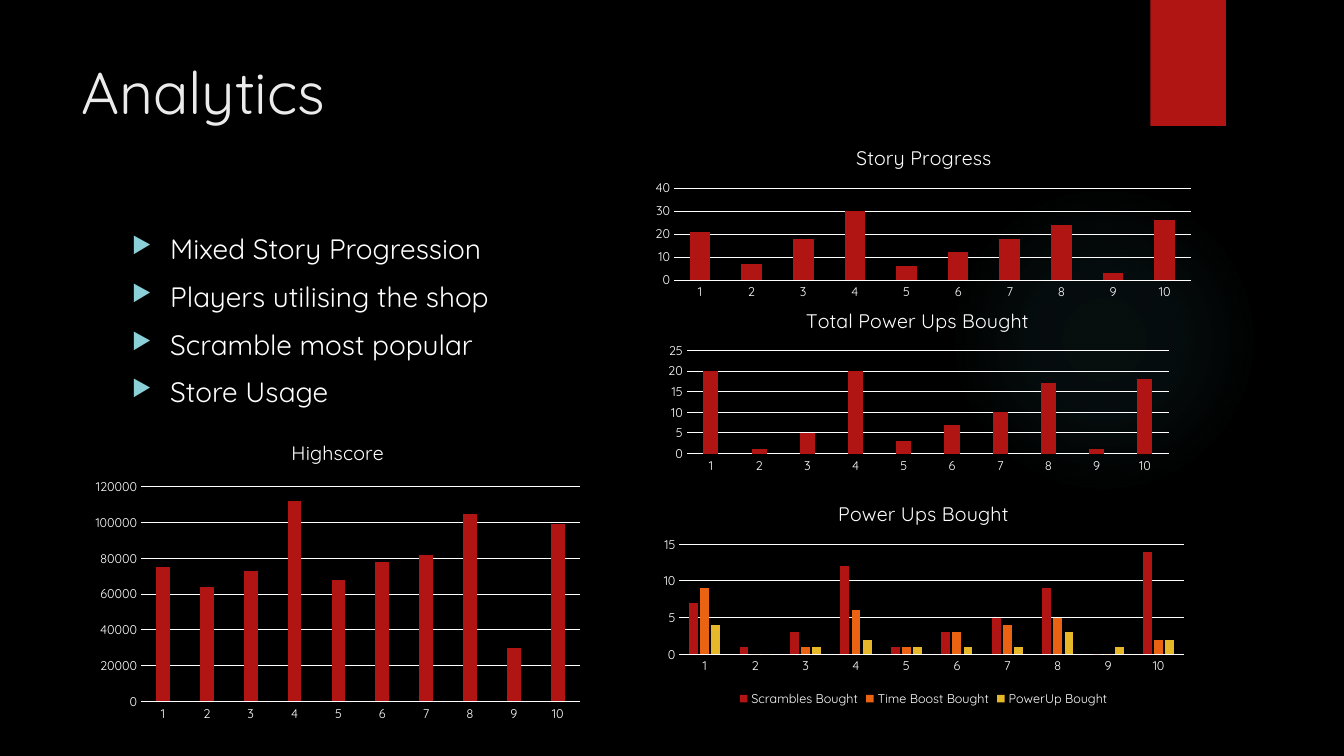
from pptx import Presentation
from pptx.chart.data import CategoryChartData
from pptx.dml.color import RGBColor
from pptx.enum.chart import XL_CHART_TYPE as CT, XL_LEGEND_POSITION as LP, XL_TICK_MARK as TICK
from pptx.enum.shapes import MSO_SHAPE as SHAPE
from pptx.enum.text import MSO_AUTO_SIZE as FIT
from pptx.oxml import parse_xml
from pptx.oxml.ns import nsdecls, qn
from pptx.util import Inches, Pt
from lxml.etree import SubElement

FONT = "Quicksand"
BLACK = RGBColor(0x00, 0x00, 0x00)
WHITE = RGBColor(0xFF, 0xFF, 0xFF)
PALE = RGBColor(0xEB, 0xEB, 0xEB)
RED = RGBColor(0xB0, 0x15, 0x13)
ORANGE = RGBColor(0xEA, 0x63, 0x12)
YELLOW = RGBColor(0xE6, 0xB7, 0x29)
AQUA = RGBColor(0x8A, 0xD0, 0xD6)
GLOW = RGBColor(0x50, 0xB9, 0xC1)

POINTS = ["Mixed Story Progression", "Players utilising the shop",
          "Scramble most popular", "Store Usage"]
TOTAL = [20, 1, 5, 20, 3, 7, 10, 17, 1, 18]
SCRAMBLES = [7, 1, 3, 12, 1, 3, 5, 9, 0, 14]
TIME_BOOSTS = [9, 0, 1, 6, 1, 3, 4, 5, 0, 2]
POWER_UPS = [4, 0, 1, 2, 1, 1, 1, 3, 1, 2]
HIGHSCORES = [75000, 64000, 73000, 112000, 68000, 78000, 82000, 105000, 30000, 99000]
STORY = [21, 7, 18, 30, 6, 12, 18, 24, 3, 26]


def style(font, size, color=WHITE):
    """Set the deck's typeface with a size and colour."""
    font.name = FONT
    font.size = Pt(size)
    font.bold = False
    font.color.rgb = color


def add_block(slide, kind, box, color):
    """Add a borderless shape filled with one colour."""
    sp = slide.shapes.add_shape(kind, *map(Inches, box))
    sp.shadow.inherit = False
    sp.fill.solid()
    sp.fill.fore_color.rgb = color
    sp.line.fill.background()
    return sp


def add_glow(slide, box):
    """Add a circle that fades out from its centre."""
    sp = add_block(slide, SHAPE.OVAL, box, GLOW)
    stops = "".join(
        f'<a:gs pos="{pos * 1000}"><a:srgbClr val="{GLOW}">'
        f'<a:alpha val="{alpha * 1000}"/></a:srgbClr></a:gs>'
        for pos, alpha in ((0, 7), (36, 6), (69, 0)))
    fade = parse_xml(
        f'<a:gradFill {nsdecls("a")}><a:gsLst>{stops}</a:gsLst><a:path path="circle">'
        '<a:fillToRect l="50000" t="50000" r="50000" b="50000"/></a:path></a:gradFill>')
    spPr = sp.element.spPr
    spPr.replace(spPr.find(qn("a:solidFill")), fade)


def add_text(slide, box):
    """Add a wrapping text box and return its frame."""
    tf = slide.shapes.add_textbox(*map(Inches, box)).text_frame
    tf.word_wrap = True
    return tf


def add_title(slide, box, text):
    """Write the slide's heading."""
    tf = add_text(slide, box)
    tf.text = text
    style(tf.paragraphs[0].runs[0].font, 42, PALE)


def add_bullets(slide, box, points):
    """Write the list of findings with triangle bullets."""
    tf = add_text(slide, box)
    tf.auto_size = FIT.TEXT_TO_FIT_SHAPE
    for i, point in enumerate(points):
        p = tf.paragraphs[0] if i == 0 else tf.add_paragraph()
        p.text = point
        if i:
            p.space_before = Pt(10)
        pPr = p._p.get_or_add_pPr()
        pPr.set("marL", str(Inches(0.38)))
        pPr.set("indent", str(-Inches(0.38)))
        SubElement(SubElement(pPr, qn("a:buClr")), qn("a:srgbClr")).set("val", str(AQUA))
        SubElement(pPr, qn("a:buSzPct")).set("val", "80000")
        SubElement(pPr, qn("a:buChar")).set("char", "▶")
        style(p.runs[0].font, 20)


def place_plot(chart, shares):
    """Fix the inner plot area as shares of the chart's box."""
    area = chart._chartSpace.find(".//" + qn("c:plotArea"))
    for old in area.findall(qn("c:layout")):
        area.remove(old)
    sizes = "".join(f'<c:{tag} val="{v}"/>' for tag, v in zip("xywh", shares))
    area.insert(0, parse_xml(
        f'<c:layout {nsdecls("c")}><c:manualLayout><c:layoutTarget val="inner"/>'
        f'<c:xMode val="edge"/><c:yMode val="edge"/>{sizes}</c:manualLayout></c:layout>'))


def style_axes(chart, top, step):
    """Give both axes white labels and the value axis its grid."""
    cat, val = chart.category_axis, chart.value_axis
    for axis in (cat, val):
        axis.major_tick_mark = axis.minor_tick_mark = TICK.NONE
        style(axis.tick_labels.font, 9)
    val.minimum_scale, val.maximum_scale, val.major_unit = 0, top, step
    val.has_major_gridlines = True
    val.format.line.fill.background()
    for line in (cat.format.line, val.major_gridlines.format.line):
        line.color.rgb = WHITE
        line.width = Pt(0.75)


def add_columns(slide, box, title, series, top, step, plot_shares,
                kind=CT.COLUMN_CLUSTERED, gap=219, overlap=-27):
    """Add a titled column chart, with a legend for several series."""
    data = CategoryChartData()
    data.categories = [str(n) for n in range(1, 11)]
    for name, values in series:
        data.add_series(name, values)
    chart = slide.shapes.add_chart(kind, *map(Inches, box), data).chart
    style(chart.font, 10)
    chart.has_title = True
    tf = chart.chart_title.text_frame
    tf.text = title
    style(tf.paragraphs[0].runs[0].font, 14)
    chart.chart_title.include_in_layout = False
    chart.has_legend = len(series) > 1
    if chart.has_legend:
        chart.legend.position = LP.BOTTOM
        chart.legend.include_in_layout = False
        style(chart.legend.font, 9)
    style_axes(chart, top, step)
    plot = chart.plots[0]
    plot.gap_width, plot.overlap, plot.vary_by_categories = gap, overlap, False
    for ser, color in zip(plot.series, (RED, ORANGE, YELLOW)):
        ser.format.fill.solid()
        ser.format.fill.fore_color.rgb = color
    place_plot(chart, plot_shares)


def add_analytics(prs):
    """Build the analytics slide."""
    slide = prs.slides.add_slide(prs.slide_layouts[6])
    slide.background.fill.solid()
    slide.background.fill.fore_color.rgb = BLACK
    add_glow(slide, (9.41, 1.83, 3.08, 3.08))
    add_block(slide, SHAPE.RECTANGLE, (11.41, 0, 0.75, 1.25), RED)
    add_title(slide, (0.71, 0.5, 10.29, 1.53), "Analytics")
    add_bullets(slide, (1.21, 2.25, 9.78, 4.59), POINTS)
    add_columns(slide, (6.5, 2.91, 5.2, 1.83), "Total Power Ups Bought",
                [("Total Power Ups Bought", TOTAL)], 25, 5, (0.06, 0.31, 0.92, 0.56))
    add_columns(slide, (6.47, 4.82, 5.38, 2.23), "Power Ups Bought",
                [("Scrambles Bought", SCRAMBLES), ("Time Boost Bought", TIME_BOOSTS),
                 ("PowerUp Bought", POWER_UPS)], 15, 5, (0.05, 0.26, 0.93, 0.49))
    add_columns(slide, (0.85, 4.2, 5, 3), "Highscore",
                [("Highscore", HIGHSCORES)], 120000, 20000, (0.11, 0.21, 0.87, 0.71))
    add_columns(slide, (6.41, 1.3, 5.51, 1.72), "Story Progress",
                [("Story Progress", STORY)], 40, 10, (0.05, 0.33, 0.93, 0.53),
                CT.COLUMN_STACKED, 150, 100)


def main():
    """Create the presentation and save it."""
    prs = Presentation()
    prs.slide_width, prs.slide_height = Inches(13.33), Inches(7.5)
    add_analytics(prs)
    prs.save("out.pptx")


if __name__ == "__main__":
    main()
